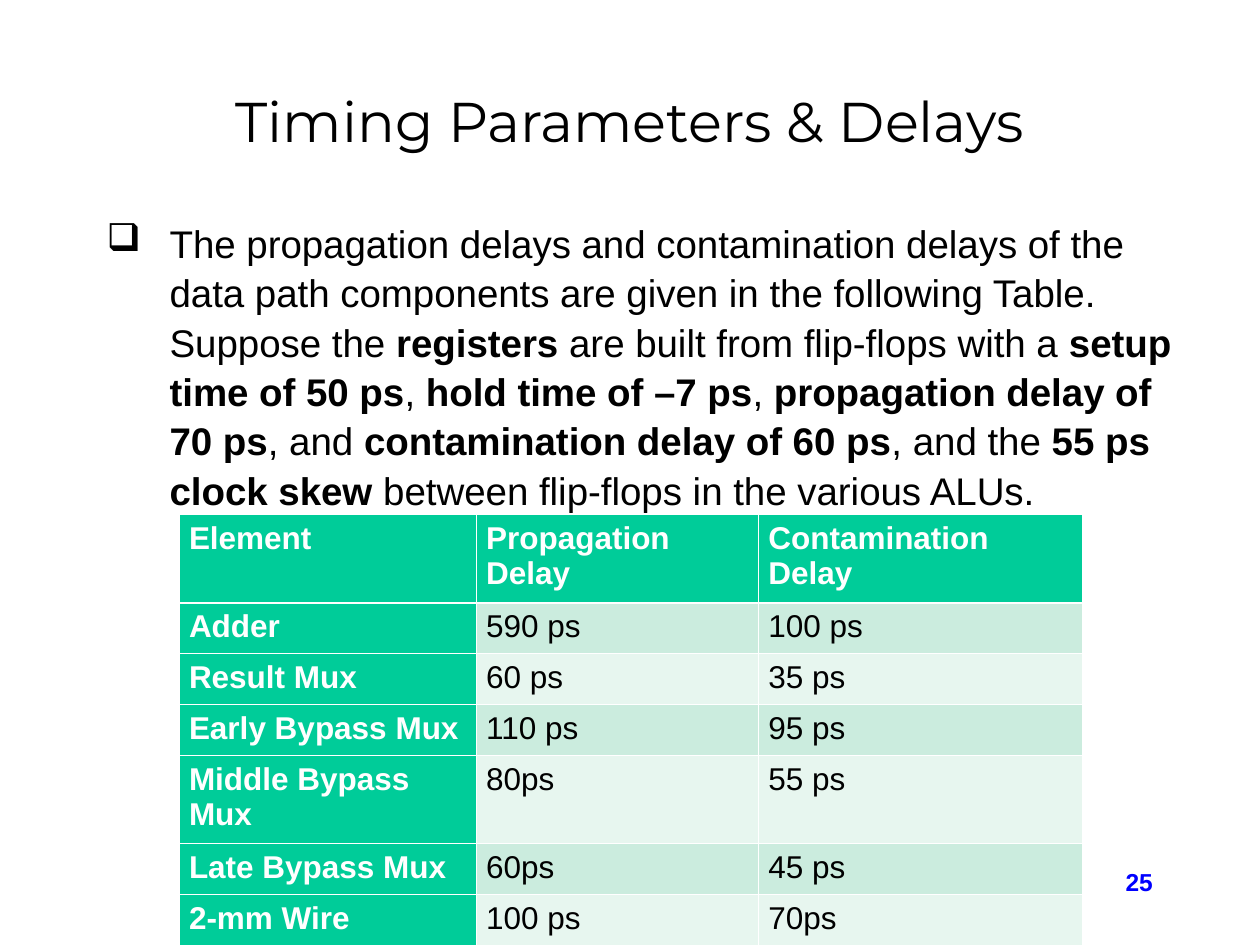
from lxml import etree
from pptx import Presentation
from pptx.dml.color import RGBColor
from pptx.enum.text import MSO_ANCHOR, PP_ALIGN
from pptx.oxml.ns import qn
from pptx.util import Cm, Pt

CENTER, RIGHT = PP_ALIGN.CENTER, PP_ALIGN.RIGHT
TOP, MIDDLE = MSO_ANCHOR.TOP, MSO_ANCHOR.MIDDLE

BLACK = RGBColor(0x00, 0x00, 0x00)
WHITE = RGBColor(0xFF, 0xFF, 0xFF)
BLUE = RGBColor(0x00, 0x00, 0xFF)
GREEN = RGBColor(0x00, 0xCC, 0x99)
DARK_BAND = RGBColor(0xCB, 0xEC, 0xDE)
LIGHT_BAND = RGBColor(0xE7, 0xF6, 0xEF)


def add_text(left, top, width, height, font_name, size, color, anchor=TOP):
    """Add a wrapping text box and return its first paragraph."""
    shape = slide.shapes.add_textbox(Cm(left), Cm(top), Cm(width), Cm(height))
    shape.text_frame.word_wrap = True
    shape.text_frame.vertical_anchor = anchor
    paragraph = shape.text_frame.paragraphs[0]
    paragraph.font.name = font_name
    paragraph.font.size = Pt(size)
    paragraph.font.color.rgb = color
    return paragraph


def set_border(cell, side, width):
    """Draw a solid white line on one side of a cell."""
    line = etree.Element(qn(f"a:{side}"), w=str(Pt(width)))
    fill = etree.SubElement(line, qn("a:solidFill"))
    etree.SubElement(fill, qn("a:srgbClr"), val=str(WHITE))
    properties = cell._tc.get_or_add_tcPr()
    properties.insert(len(properties.findall("*")) - 1, line)


presentation = Presentation()
presentation.slide_width = Cm(25.4)
presentation.slide_height = Cm(19.05)
slide = presentation.slides.add_slide(presentation.slide_layouts[6])

# Title
title = add_text(1.9, 1.48, 21.6, 1.9, "Montserrat", 32, BLACK, MIDDLE)
title.text = "Timing Parameters & Delays"
title.alignment = CENTER

# Delay table
rows = [
    ("Element", "Propagation Delay", "Contamination Delay"),
    ("Adder", "590 ps", "100 ps"),
    ("Result Mux", "60 ps", "35 ps"),
    ("Early Bypass Mux", "110 ps", "95 ps"),
    ("Middle Bypass Mux", "80ps", "55 ps"),
    ("Late Bypass Mux", "60ps", "45 ps"),
    ("2-mm Wire", "100 ps", "70ps"),
]
column_widths = [5.99, 5.69, 6.53]
row_heights = [1.52, 0.89, 0.89, 0.89, 1.52, 0.89, 0.89]
table = slide.shapes.add_table(
    len(rows), len(column_widths), Cm(3.61), Cm(10.37),
    Cm(sum(column_widths)), Cm(sum(row_heights))).table
for column, width in zip(table.columns, column_widths):
    column.width = Cm(width)
for row, height in zip(table.rows, row_heights):
    row.height = Cm(height)

for row_index, values in enumerate(rows):
    band = DARK_BAND if row_index % 2 else LIGHT_BAND
    for column_index, value in enumerate(values):
        is_header = row_index == 0 or column_index == 0
        cell = table.cell(row_index, column_index)
        cell.margin_left = cell.margin_right = Cm(0.2)
        cell.margin_top = cell.margin_bottom = Cm(0.13)
        cell.fill.solid()
        cell.fill.fore_color.rgb = GREEN if is_header else band
        set_border(cell, "lnL", 0.45)
        set_border(cell, "lnR", 0.45)
        set_border(cell, "lnT", 1.47 if row_index == 1 else 0.45)
        set_border(cell, "lnB", 1.47 if row_index == 0 else 0.45)
        cell.text_frame.text = value
        font = cell.text_frame.paragraphs[0].runs[0].font
        font.name = "Arial"
        font.size = Pt(18)
        font.bold = is_header
        font.color.rgb = WHITE if is_header else BLACK

# Slide number
number = add_text(18.21, 17.35, 5.28, 1.27, "Arial", 14, BLUE)
number.text = "25"
number.alignment = RIGHT
number.font.bold = True

# Problem statement: every second part is bold
parts = [
    "The propagation delays and contamination delays of the data path "
    "components are given in the following Table. Suppose the ",
    "registers", " are built from flip-flops with a",
    " setup time of 50 ps", ", ",
    "hold time of –7 ps", ", ",
    "propagation delay of 70 ps", ", and ",
    "contamination delay of 60 ps", ", and the ",
    "55 ps clock skew", " between flip-flops in the various ALUs.",
]
statement = add_text(1.9, 4.24, 22.23, 5.92, "Arial", 22, BLACK)
statement.line_spacing = 1.07
for index, part in enumerate(parts):
    run = statement.add_run()
    run.text = part
    run.font.bold = index % 2 == 1

# Hanging bullet, placed ahead of the default run properties
properties = statement._p.get_or_add_pPr()
properties.set("marL", str(Cm(1.27)))
properties.set("indent", str(-Cm(1.27)))
bullet = etree.Element(qn("a:buChar"), char="❑")
properties.find(qn("a:defRPr")).addprevious(bullet)

presentation.save("out.pptx")
